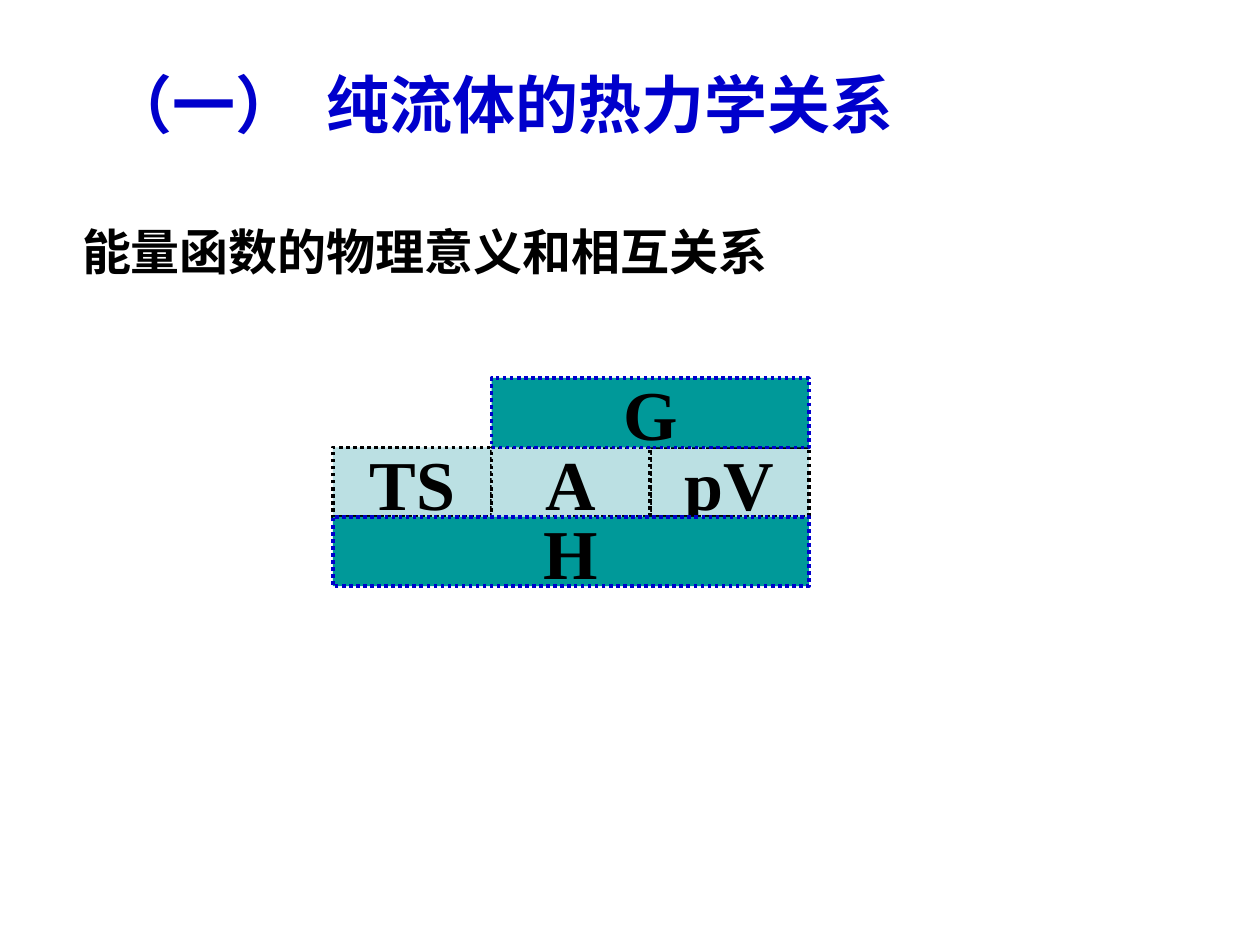
"""Build a slide showing how the energy functions of a pure fluid add up."""
from lxml.etree import SubElement
from pptx import Presentation
from pptx.dml.color import RGBColor
from pptx.enum.dml import MSO_LINE
from pptx.enum.shapes import MSO_SHAPE
from pptx.enum.text import MSO_ANCHOR, PP_ALIGN
from pptx.oxml.ns import qn
from pptx.util import Cm, Pt

COLORS = {"black": "000000", "blue": "0000CC", "teal": "009999", "pale": "BBE0E3"}
CHINESE, LATIN = "Noto Sans CJK SC", "Times New Roman"
LEFT, TOP, WIDTH, HEIGHT = 6.71, 7.62, 3.2, 1.4


class EnergySlide:
    def __init__(self, presentation):
        self.slide = presentation.slides.add_slide(presentation.slide_layouts[5])
        self.diagram = None

    def color(self, name):
        return RGBColor.from_string(COLORS[name])

    def fill_text(self, shape, text, color, align=PP_ALIGN.LEFT, wrap=True, tab=None, **font):
        frame = shape.text_frame
        for name, value in {"word_wrap": wrap, "vertical_anchor": MSO_ANCHOR.MIDDLE}.items():
            setattr(frame, name, value)
        paragraph = frame.paragraphs[0]
        paragraph.alignment = align
        if tab:
            stops = SubElement(paragraph._p.get_or_add_pPr(), qn("a:tabLst"))
            SubElement(stops, qn("a:tab"), pos=str(Cm(tab)), algn="l")
        run = paragraph.add_run()
        run.text = text
        for name, value in {"bold": True, **font}.items():
            setattr(run.font, name, value)
        run.font.color.rgb = self.color(color)
        SubElement(run._r.get_or_add_rPr(), qn("a:ea"), typeface=font["name"])

    def title(self, text, left, top, width, height):
        shape = self.slide.shapes.title
        place = {"left": left, "top": top, "width": width, "height": height}
        for name, value in place.items():
            setattr(shape, name, Cm(value))
        self.fill_text(shape, text, "black", name=CHINESE, size=Pt(28))

    def heading(self, text, left, top, width, height, tab):
        shape = self.slide.shapes.add_textbox(Cm(left), Cm(top), Cm(width), Cm(height))
        self.fill_text(shape, text, "blue", tab=tab, name=CHINESE, size=Pt(36))

    def block(self, text, column, row, span, fill, line):
        if self.diagram is None:
            self.diagram = self.slide.shapes.add_group_shape()
        shape = self.diagram.shapes.add_shape(
            MSO_SHAPE.RECTANGLE, Cm(LEFT + column * WIDTH), Cm(TOP + row * HEIGHT),
            Cm(span * WIDTH), Cm(HEIGHT))
        shape.shadow.inherit = False
        shape.fill.solid()
        shape.fill.fore_color.rgb = self.color(fill)
        shape.line.color.rgb = self.color(line)
        for name, value in {"width": Pt(2), "dash_style": MSO_LINE.ROUND_DOT}.items():
            setattr(shape.line, name, value)
        self.fill_text(shape, text, "black", PP_ALIGN.CENTER, False, name=LATIN, size=Pt(40))


def main():
    presentation = Presentation()
    presentation.slide_width, presentation.slide_height = Cm(25.4), Cm(19.05)
    slide = EnergySlide(presentation)
    slide.title("能量函数的物理意义和相互关系", 1.4, 3.76, 20.9, 2.59)
    slide.heading("（一）\t纯流体的热力学关系", 1.96, 0.79, 17.27, 2.59, tab=4.37)
    for text, column in (("pV", 2), ("TS", 0), ("A", 1)):
        slide.block(text, column, 1, 1, "pale", "black")
    for text, column, row, span in (("G", 1, 0, 2), ("H", 0, 2, 3)):
        slide.block(text, column, row, span, "teal", "blue")
    presentation.save("out.pptx")


if __name__ == "__main__":
    main()
